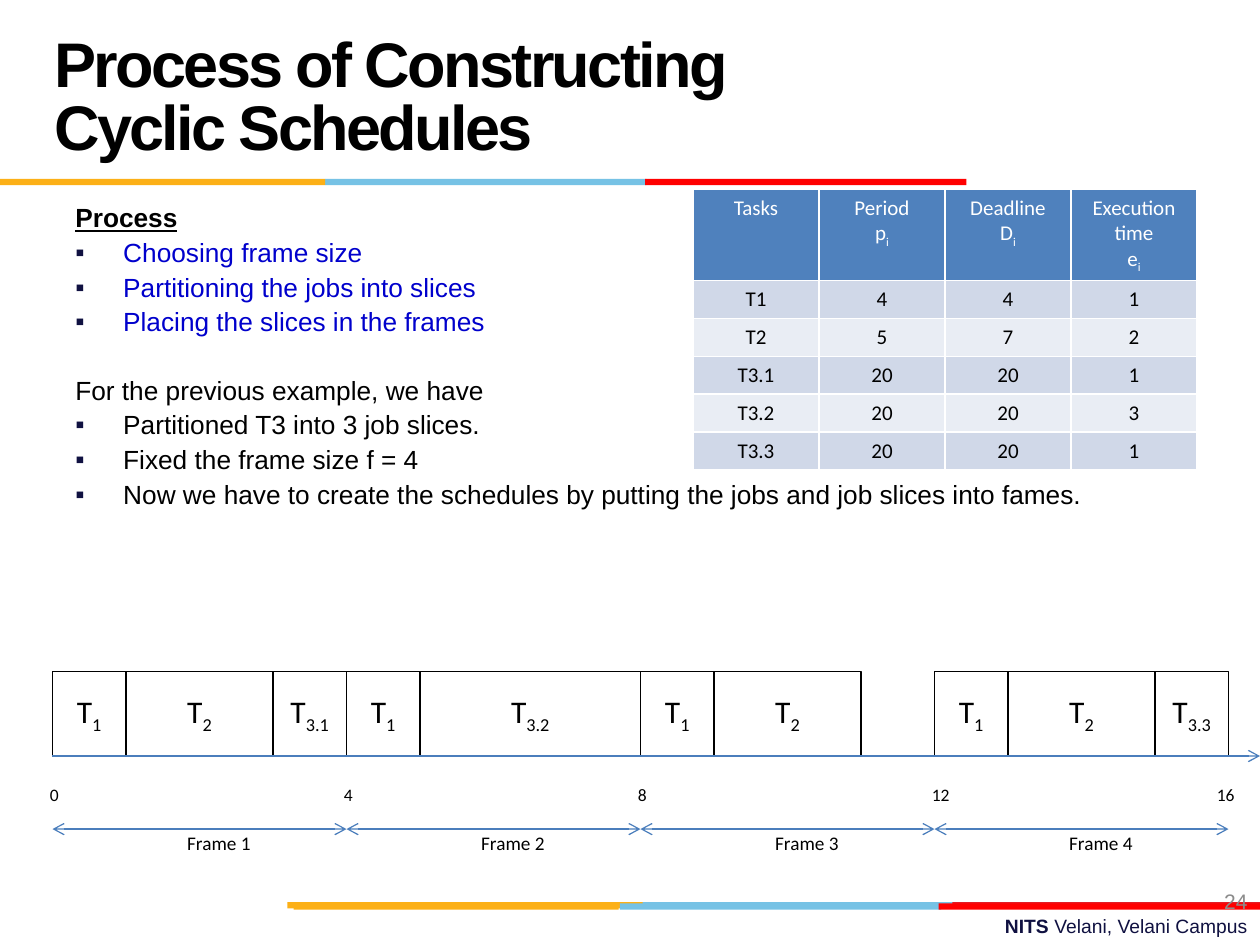
from lxml import etree
from pptx import Presentation
from pptx.dml.color import RGBColor
from pptx.enum import shapes, text
from pptx.oxml import ns
from pptx.util import Inches, Pt

# Content
TITLE = ("Process of Constructing", "Cyclic Schedules")
# text, style, space before in points
BODY = [
    ("Process", "heading", 0),
    ("Choosing frame size", "step", 3.6),
    ("Partitioning the jobs into slices", "step", 3.6),
    ("Placing the slices in the frames", "step", 3.6),
    ("For the previous example, we have", "plain", 22.8),
    ("Partitioned T3 into 3 job slices.", "point", 3.6),
    ("Fixed the frame size f = 4", "point", 3.6),
    ("Now we have to create the schedules by putting the jobs "
     "and job slices into fames.", "point", 3.6),
]
TABLE_HEAD = [("Tasks", ""), ("Period", "p"), ("Deadline", "D"), ("Execution time", "e")]
TASKS = [("T1", 4, 4, 1), ("T2", 5, 7, 2), ("T3.1", 20, 20, 1),
         ("T3.2", 20, 20, 3), ("T3.3", 20, 20, 1)]
# task index, start time, duration
SCHEDULE = [("1", 0, 1), ("2", 1, 2), ("3.1", 3, 1), ("1", 4, 1), ("3.2", 5, 3),
            ("1", 8, 1), ("2", 9, 2), ("1", 12, 1), ("2", 13, 2), ("3.3", 15, 1)]
FRAME_SIZE, FRAME_COUNT = 4, 4
FOOTER = ("NITS ", "Velani, Velani Campus")
PAGE = "24"

THEME = {
    "black": "000000", "white": "FFFFFF", "navy": "101141", "step": "0000CC",
    "page": "8C8C8C", "orange": "FCB017", "sky": "76C2E5", "red": "FF0000",
    "crimson": "E31C24", "head": "4F81BD", "bands": ("D0D8E8", "E9EDF4"),
    "axis": "4B7EBC", "sans": "Arial", "label": "Calibri",
    "title_size": 36, "body_size": 15, "job_size": 18, "cell_size": 12,
    "page_size": 12, "frame_size": 11, "footer_size": 11, "tick_size": 10,
}
# colour, left, top, width
BARS = [("sky", 5.06, 7.16, 2.55), ("crimson", 7.56, 7.16, 2.44), ("orange", 2.28, 7.16, 2.82),
        ("sky", 4.92, 7.17, 2.55), ("orange", 2.33, 7.17, 2.58), ("red", 7.45, 7.17, 2.55),
        ("sky", 2.58, 1.42, 2.55), ("orange", 0, 1.42, 2.58), ("red", 5.12, 1.42, 2.55)]

# Timeline geometry
ORIGIN, UNIT = 5 / 12, 7 / 12
JOB_TOP, AXIS_Y, TICK_Y, FRAME_Y = 5.33, 6, 6.17, 6.58


def box(left, top, width, height):
    return [Inches(v) for v in (left, top, width, height)]


def time_x(time):
    return ORIGIN + UNIT * time


def rgb(name):
    return RGBColor.from_string(THEME.get(name, name))


def add_run(paragraph, words, size, color="black", face="label", bold=False, sub=False):
    run = paragraph.add_run()
    run.text = words
    run.font.size = Pt(THEME[size])
    run.font.name = THEME[face]
    run.font.color.rgb = rgb(color)
    run.font.bold = bold
    if sub:
        run.font._element.set("baseline", "-25000")
    return run


def add_label(slide, place, wrap=True):
    label = slide.shapes.add_textbox(*box(*place))
    label.text_frame.word_wrap = wrap
    return label.text_frame


def add_arrow(slide, start, end, y, ends):
    arrow = slide.shapes.add_connector(
        shapes.MSO_CONNECTOR.STRAIGHT, Inches(start), Inches(y), Inches(end), Inches(y))
    arrow.line.color.rgb = rgb("axis")
    arrow.line.width = Pt(0.75)
    line = arrow.line._get_or_add_ln()
    for end_name in ends:
        etree.SubElement(line, ns.qn(f"a:{end_name}"), type="arrow")
    etree.SubElement(arrow._element.spPr, ns.qn("a:effectLst"))


def add_bars(slide):
    for color, left, top, width in BARS:
        bar = slide.shapes.add_shape(
            shapes.MSO_SHAPE.RECTANGLE, *box(left, top, width, 0.05))
        bar.shadow.inherit = False
        bar.fill.solid()
        bar.fill.fore_color.rgb = rgb(color)
        bar.line.fill.background()


def add_title(slide):
    title = slide.shapes.title
    title.left, title.top, title.width, title.height = box(0.33, 0.17, 6.92, 1.25)
    frame = title.text_frame
    frame.vertical_anchor = text.MSO_ANCHOR.MIDDLE
    heading = frame.paragraphs[0]
    heading.alignment = text.PP_ALIGN.LEFT
    heading.line_spacing = Pt(36)
    for index, words in enumerate(TITLE):
        if index:
            heading.add_line_break()
        run = add_run(heading, words, "title_size", face="sans", bold=True)
        run.font._element.set("spc", "-150")


def add_body(slide):
    frame = add_label(slide, (0.5, 1.58, 9, 3.08))
    for index, (words, style, before) in enumerate(BODY):
        item = frame.add_paragraph() if index else frame.paragraphs[0]
        item.line_spacing = 0.9
        item.space_before = Pt(before)
        run = add_run(item, words, "body_size", "step" if style == "step" else "black",
                      "sans", style == "heading")
        run.font.underline = style == "heading"
        if style in ("step", "point"):
            props = item._p.get_or_add_pPr()
            props.set("marL", str(Inches(0.38)))
            props.set("indent", str(Inches(-0.38)))
            color = etree.SubElement(props, ns.qn("a:buClr"))
            etree.SubElement(color, ns.qn("a:srgbClr"), val=THEME["navy"])
            etree.SubElement(props, ns.qn("a:buFont"), typeface=THEME["sans"])
            etree.SubElement(props, ns.qn("a:buChar"), char="▪")


def style_cell(cell, fill):
    cell.fill.solid()
    cell.fill.fore_color.rgb = rgb(fill)
    props = cell._tc.get_or_add_tcPr()
    for index, side in enumerate(("lnL", "lnR", "lnT", "lnB")):
        border = etree.Element(ns.qn(f"a:{side}"), w=str(Pt(1)))
        solid = etree.SubElement(border, ns.qn("a:solidFill"))
        etree.SubElement(solid, ns.qn("a:srgbClr"), val=THEME["white"])
        props.insert(index, border)


def add_task_table(slide):
    tasks = slide.shapes.add_table(
        len(TASKS) + 1, len(TABLE_HEAD), *box(5.5, 1.5, 4, 2.2)).table
    for index, row in enumerate(tasks.rows):
        row.height = Inches(0.3 if index else 0.7)
    for column, (name, symbol) in enumerate(TABLE_HEAD):
        cell = tasks.cell(0, column)
        style_cell(cell, "head")
        lines = [cell.text_frame.paragraphs[0]]
        add_run(lines[0], name, "cell_size", "white")
        if symbol:
            lines.append(cell.text_frame.add_paragraph())
            add_run(lines[1], symbol, "cell_size", "white")
            add_run(lines[1], "i", "cell_size", "white", sub=True)
        for line in lines:
            line.alignment = text.PP_ALIGN.CENTER
    for row, values in enumerate(TASKS, 1):
        for column, value in enumerate(values):
            cell = tasks.cell(row, column)
            style_cell(cell, THEME["bands"][(row - 1) % 2])
            line = cell.text_frame.paragraphs[0]
            line.alignment = text.PP_ALIGN.CENTER
            add_run(line, str(value), "cell_size")


def add_timeline(slide):
    # Jobs
    for task, start, duration in SCHEDULE:
        job = slide.shapes.add_shape(
            shapes.MSO_SHAPE.RECTANGLE,
            *box(time_x(start), JOB_TOP, UNIT * duration, AXIS_Y - JOB_TOP))
        job.shadow.inherit = False
        job.fill.background()
        job.line.color.rgb = rgb("black")
        job.line.width = Pt(1)
        job.text_frame.vertical_anchor = text.MSO_ANCHOR.MIDDLE
        name = job.text_frame.paragraphs[0]
        name.alignment = text.PP_ALIGN.CENTER
        add_run(name, "T", "job_size")
        add_run(name, task, "job_size", sub=True)
    add_arrow(slide, ORIGIN, 10, AXIS_Y, ["tailEnd"])

    # Ticks and frames
    end = FRAME_SIZE * FRAME_COUNT
    for time in range(0, end + 1, FRAME_SIZE):
        left = time_x(time) - (0.19 if time == end else 0.12)
        tick = add_label(slide, (left, TICK_Y, 0.28 if time < 10 else 0.36, 0.27), False)
        add_run(tick.paragraphs[0], str(time), "tick_size")
    for index in range(FRAME_COUNT):
        start = time_x(index * FRAME_SIZE)
        add_arrow(slide, start, start + FRAME_SIZE * UNIT, FRAME_Y, ["headEnd", "tailEnd"])
        caption = add_label(slide, (start + 0.97, 6.55, 0.78, 0.29), False)
        add_run(caption.paragraphs[0], f"Frame {index + 1}", "frame_size")


def add_footer(slide):
    campus = add_label(slide, (3.58, 7.21, 6.42, 0.29)).paragraphs[0]
    campus.alignment = text.PP_ALIGN.RIGHT
    for words, bold in zip(FOOTER, (True, False)):
        add_run(campus, words, "footer_size", "navy", "sans", bold)
    number = add_label(slide, (7.67, 6.95, 2.33, 0.4))
    number.vertical_anchor = text.MSO_ANCHOR.MIDDLE
    number.paragraphs[0].alignment = text.PP_ALIGN.RIGHT
    add_run(number.paragraphs[0], PAGE, "page_size", "page", "sans")


def main():
    deck = Presentation()
    deck.slide_width, deck.slide_height = Inches(10), Inches(7.5)
    slide = deck.slides.add_slide(deck.slide_layouts[5])
    for add_part in (add_bars, add_title, add_body, add_footer, add_task_table, add_timeline):
        add_part(slide)
    deck.save("out.pptx")


if __name__ == "__main__":
    main()
